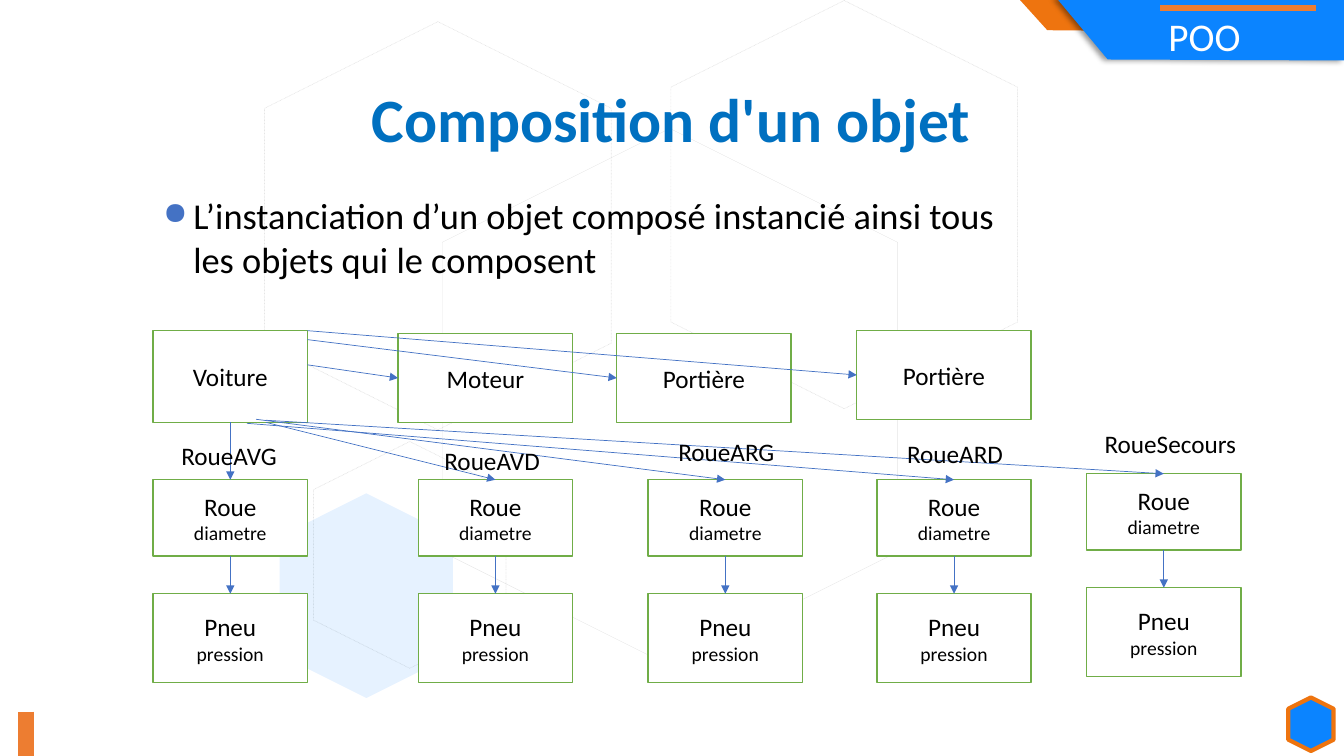
from dataclasses import dataclass

from lxml import etree
from pptx import Presentation
from pptx.dml.color import RGBColor
from pptx.enum.dml import MSO_LINE
from pptx.enum.shapes import MSO_CONNECTOR, MSO_SHAPE
from pptx.enum.text import MSO_ANCHOR, PP_ALIGN
from pptx.oxml.ns import qn
from pptx.util import Pt

STRAIGHT = MSO_CONNECTOR.STRAIGHT
RECTANGLE, HEXAGON = MSO_SHAPE.RECTANGLE, MSO_SHAPE.HEXAGON
DOTTED = MSO_LINE.ROUND_DOT
TOP, MIDDLE = MSO_ANCHOR.TOP, MSO_ANCHOR.MIDDLE
LEFT, CENTER = PP_ALIGN.LEFT, PP_ALIGN.CENTER
TOP_SIDE, LEFT_SIDE, BOTTOM_SIDE = 0, 1, 2


@dataclass(frozen=True)
class Theme:
    """Fonts, colours and type sizes of the slide."""
    font: str = "Calibri"
    black: str = "000000"
    white: str = "FFFFFF"
    title_blue: str = "0070C0"
    tab_blue: str = "0B84FF"
    tab_orange: str = "EE740F"
    accent: str = "ED7D31"
    green: str = "70AD47"
    arrow: str = "4472C4"
    title: int = 44
    header: int = 28
    body: int = 26
    label: int = 18
    detail: int = 14


def write(frame, text, sizes, font="Calibri", color="000000", bold=False,
          align=LEFT, anchor=TOP, spacing=None, wrap=True):
    """Fill a text frame, one paragraph per line of text."""
    frame.word_wrap = wrap
    frame.vertical_anchor = anchor
    for index, (line, size) in enumerate(zip(text.split("\n"), sizes)):
        paragraph = frame.add_paragraph() if index else frame.paragraphs[0]
        paragraph.alignment = align
        if spacing:
            paragraph.line_spacing = spacing
        run = paragraph.add_run()
        run.text = line
        run.font.name = font
        run.font.size = Pt(size)
        run.font.bold = bold
        run.font.color.rgb = RGBColor.from_string(color)


class SlideBuilder:
    """Draws styled elements on the current slide."""

    def __init__(self, slide, theme):
        self.slide = slide
        self.theme = theme

    def style(self, shape, fill=None, line=None, width=1, dash=None, opacity=100):
        shape.shadow.inherit = False
        if fill:
            shape.fill.solid()
            shape.fill.fore_color.rgb = RGBColor.from_string(fill)
        else:
            shape.fill.background()
        if line:
            shape.line.color.rgb = RGBColor.from_string(line)
            shape.line.width = Pt(width)
            if dash:
                shape.line.dash_style = dash
        else:
            shape.line.fill.background()
        if opacity < 100:
            for color in list(shape._element.spPr.iter(qn("a:srgbClr"))):
                etree.SubElement(color, qn("a:alpha"), val=str(opacity * 1000))
        return shape

    def hexagon(self, bounds, rotation=90, **look):
        shape = self.slide.shapes.add_shape(HEXAGON, *map(Pt, bounds))
        shape.rotation = rotation
        return self.style(shape, **look)

    def box(self, bounds, text):
        shape = self.slide.shapes.add_shape(RECTANGLE, *map(Pt, bounds))
        self.style(shape, fill=self.theme.white, line=self.theme.green)
        write(shape.text_frame, text, (self.theme.label, self.theme.detail),
              align=CENTER, anchor=MIDDLE)
        return shape

    def outline(self, points, fill):
        start, *others = [(Pt(x), Pt(y)) for x, y in points]
        builder = self.slide.shapes.build_freeform(*start)
        builder.add_line_segments(others, close=True)
        return self.style(builder.convert_to_shape(), fill=fill)

    def soft_shadow(self, shape):
        effects = shape._element.spPr.find(qn("a:effectLst"))
        shadow = etree.SubElement(effects, qn("a:outerShdw"), blurRad=str(Pt(4)),
                                  dist=str(Pt(3)), dir="10800000", rotWithShape="0")
        color = etree.SubElement(shadow, qn("a:srgbClr"), val=self.theme.black)
        etree.SubElement(color, qn("a:alpha"), val="40000")

    def text(self, bounds, text, size, **look):
        shape = self.slide.shapes.add_textbox(*map(Pt, bounds))
        write(shape.text_frame, text, (size,), **look)
        return shape

    def bullet(self, paragraph):
        properties = paragraph._p.get_or_add_pPr()
        properties.set("marL", str(Pt(21.6)))
        properties.set("indent", str(-Pt(21.6)))
        color = etree.SubElement(properties, qn("a:buClr"))
        etree.SubElement(color, qn("a:srgbClr"), val=self.theme.arrow)
        etree.SubElement(properties, qn("a:buSzPct"), val="85000")
        etree.SubElement(properties, qn("a:buChar"), char="●")

    def line(self, start, end, color, width):
        connector = self.slide.shapes.add_connector(STRAIGHT, *map(Pt, (*start, *end)))
        connector.line.color.rgb = RGBColor.from_string(color)
        connector.line.width = Pt(width)
        etree.SubElement(connector._element.spPr, qn("a:effectLst"))
        return connector

    def arrow(self, target, side, start=(0, 0), source=None):
        connector = self.line(start, (0, 0), self.theme.arrow, 0.5)
        outline = connector._element.spPr.find(qn("a:ln"))
        etree.SubElement(outline, qn("a:tailEnd"), type="triangle")
        if source is not None:
            connector.begin_connect(source, BOTTOM_SIDE)
        connector.end_connect(target, side)


def draw_background(builder):
    """Draw the hexagons, the header tab and the accent lines."""
    theme = builder.theme
    faint = {"line": theme.black, "opacity": 10}
    dotted = {**faint, "width": 0.5, "dash": DOTTED}
    builder.hexagon((286.6, 121, 383.8, 325.4), width=0.25, **faint)
    builder.hexagon((457.2, 22.3, 291.6, 247.7), **dotted)
    builder.hexagon((211.7, 327.6, 162, 137.5), **dotted)
    builder.hexagon((188.6, 363.6, 146.2, 123.8), 270, fill=theme.tab_blue, opacity=10)
    builder.hexagon((167, 37.4, 291.6, 247.7), **dotted)
    builder.line((18.7, 508.3), (18.7, 540), theme.accent, 11)
    builder.outline([(727.2, -1.5), (828, -1.5), (828.7, 22.3), (748.1, 21.6)],
                    theme.tab_orange)
    tab = builder.outline([(754.6, -1.5), (960, -0.7), (960, 43.2), (791.3, 42.5)],
                          theme.tab_blue)
    builder.soft_shadow(tab)
    frame = tab.text_frame
    frame.margin_left, frame.margin_top, frame.margin_bottom = Pt(80), Pt(10), 0
    write(frame, "POO", (theme.header,), color=theme.white, anchor=MIDDLE)
    builder.line((828.7, 5.8), (940.3, 5.8), theme.accent, 4.5)
    builder.hexagon((917.3, 501.1, 38.2, 32.4), 270, fill=theme.tab_blue,
                    line=theme.tab_orange, width=3)


def draw_composition(builder):
    """Draw the car, its parts, its wheels and their tyres."""
    car = builder.box((109.4, 236.2, 110.2, 65.5), "Voiture")
    parts = [("Moteur", 284.4, 238.3, 260.6), ("Portière", 440.6, 238.3, 242.6),
             ("Portière", 612, 236.2, 236.2)]
    part_boxes = [builder.box((left, top, 124.6, 63.4), name)
                  for name, left, top, _ in parts]
    wheels = [("RoueAVG", 109.4, 342.7, (122.4, 311), None),
              ("RoueAVD", 298.8, 342.7, (310.3, 314.6), (190, 301.7)),
              ("RoueARG", 463, 342.7, (477.4, 308.2), (182.9, 299.5)),
              ("RoueARD", 626.4, 342.7, (640.8, 309.6), (176.4, 302.4)),
              ("RoueSecours", 776.2, 338.4, (781.9, 302.4), (190, 300.2))]
    for name, left, top, label, start in wheels:
        wheel = builder.box((left, top, 110.2, 54.4), "Roue\ndiametre")
        tyre = builder.box((left, top + 81.4, 110.2, 63.4), "Pneu\npression")
        builder.arrow(tyre, TOP_SIDE, source=wheel)
        if start:
            builder.arrow(wheel, TOP_SIDE, start)
        else:
            builder.arrow(wheel, TOP_SIDE, source=car)
    for box, (_, _, _, start_top) in zip(part_boxes, parts):
        builder.arrow(box, LEFT_SIDE, (219.6, start_top))
    for name, left, top, label, start in wheels:
        builder.text((*label, 110, 28.8), name, builder.theme.label)


def main():
    """Build the slide and save it."""
    presentation = Presentation()
    presentation.slide_width, presentation.slide_height = Pt(960), Pt(540)
    theme = Theme()
    slide = presentation.slides.add_slide(presentation.slide_layouts[6])
    builder = SlideBuilder(slide, theme)
    draw_background(builder)
    builder.text((109.4, 52.6, 740.2, 69.8), "Composition d'un objet", theme.title,
                 color=theme.title_blue, bold=True, align=CENTER, anchor=MIDDLE,
                 spacing=0.9)
    body = builder.text((109.4, 134.5, 612, 86.4),
                        "L’instanciation d’un objet composé instancié ainsi tous "
                        "les objets qui le composent", theme.body)
    builder.bullet(body.text_frame.paragraphs[0])
    draw_composition(builder)
    presentation.save("out.pptx")


if __name__ == "__main__":
    main()
